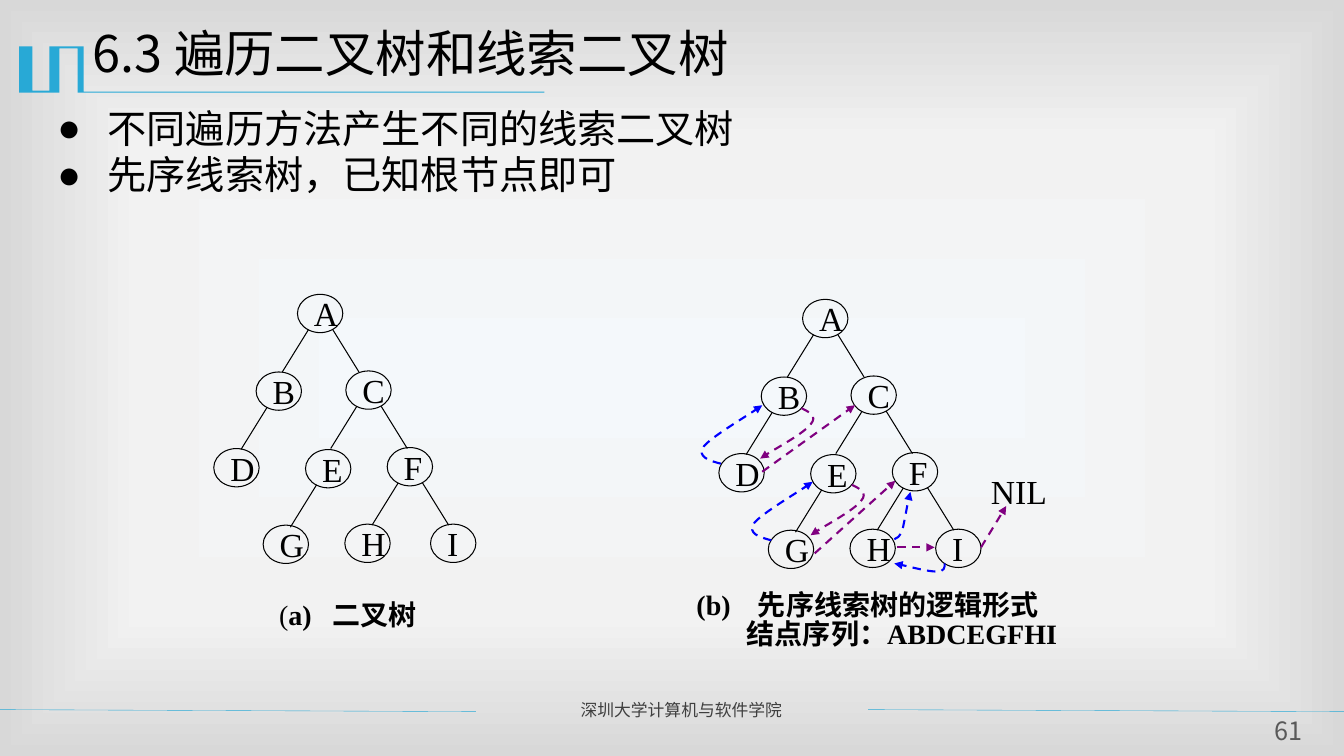
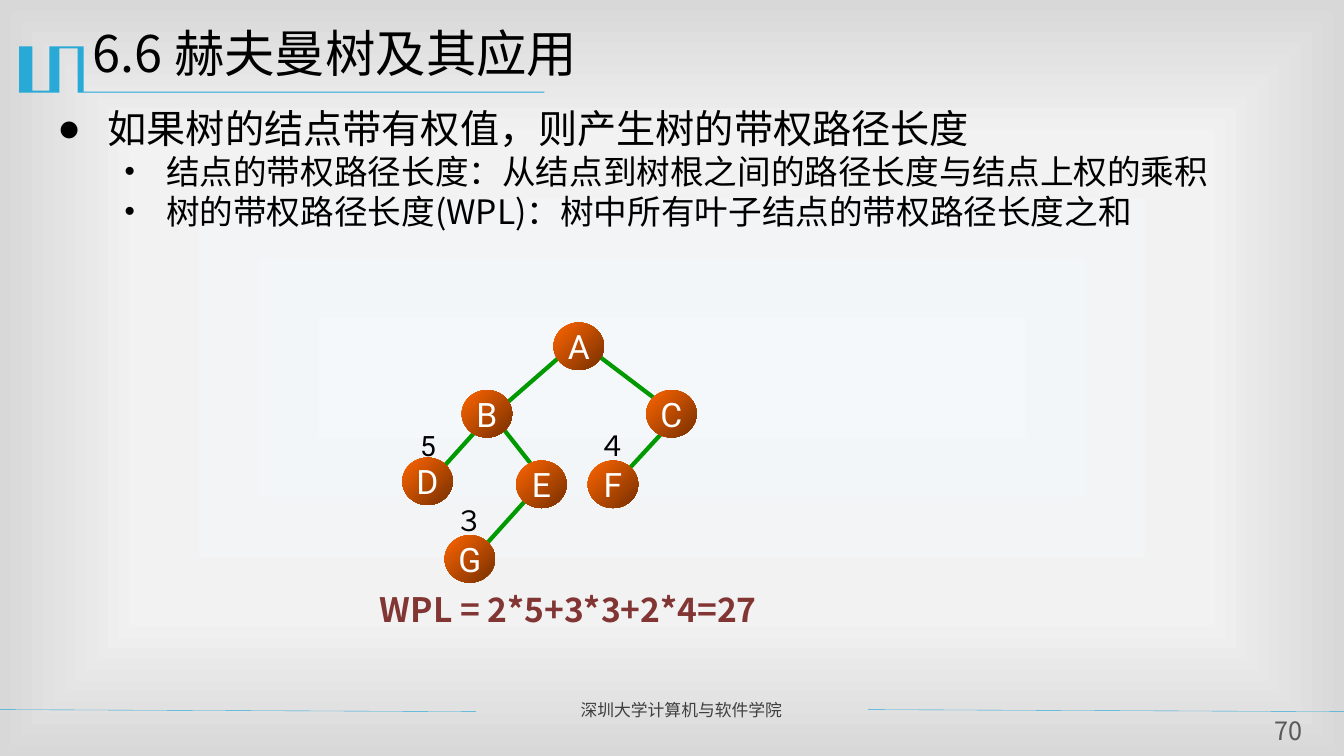
from lxml import etree
from pptx import Presentation
from pptx.dml.color import RGBColor
from pptx.enum.dml import MSO_LINE
from pptx.enum.shapes import MSO_CONNECTOR, MSO_SHAPE
from pptx.enum.text import MSO_ANCHOR, MSO_AUTO_SIZE, PP_ALIGN
from pptx.oxml.ns import qn
from pptx.util import Inches, Pt

DASH = MSO_LINE.DASH
STRAIGHT = MSO_CONNECTOR.STRAIGHT
OVAL = MSO_SHAPE.OVAL
TOP, MIDDLE = MSO_ANCHOR.TOP, MSO_ANCHOR.MIDDLE
NO_AUTOSIZE = MSO_AUTO_SIZE.NONE
LEFT, CENTER = PP_ALIGN.LEFT, PP_ALIGN.CENTER

BLACK = RGBColor(0x00, 0x00, 0x00)
WHITE = RGBColor(0xFF, 0xFF, 0xFF)
ACCENT = RGBColor(0x28, 0xA9, 0xD6)
FOOTER_GRAY = RGBColor(0x3F, 0x3F, 0x3F)
NUMBER_GRAY = RGBColor(0x59, 0x59, 0x59)
BLUE = RGBColor(0x00, 0x00, 0xFF)
PURPLE = RGBColor(0x80, 0x00, 0x80)
GREEN = RGBColor(0x00, 0x99, 0x00)
ORANGE = RGBColor(0xFF, 0x66, 0x00)
BROWN = RGBColor(0x76, 0x2F, 0x00)
DARK_RED = RGBColor(0x82, 0x36, 0x34)
BACKGROUND_STOPS = [
    (0, RGBColor(0xF4, 0xF8, 0xFB)),
    (63, RGBColor(0xF2, 0xF2, 0xF2)),
    (100, RGBColor(0xD8, 0xD8, 0xD8)),
]

SANS, ROBOTO, SERIF = "Noto Sans CJK SC", "Roboto", "Times New Roman"
FOOTER = "深圳大学计算机与软件学院"
BRACKET = [
    (0.82, 0.46), (0.83, 0.46), (0.83, 0.91), (5.4, 0.91), (5.4, 0.92),
    (0.77, 0.92), (0.77, 0.48), (0.59, 0.48), (0.59, 0.92), (0.19, 0.92),
    (0.19, 0.46), (0.32, 0.46), (0.32, 0.9), (0.49, 0.9), (0.49, 0.46),
]
BULLETS = {0: ("●", 28, 0.5, -0.5), 1: ("•", 24, 1.08, -0.42)}

BINARY_NODES = {
    "A": (2.95, 2.92), "B": (2.54, 3.69), "C": (3.43, 3.68),
    "D": (2.12, 4.45), "E": (3.03, 4.46), "F": (3.84, 4.44),
    "G": (2.61, 5.21), "H": (3.42, 5.2), "I": (4.27, 5.2),
}
LEFT_PARENTS, RIGHT_PARENTS = "ABCEF", "ACF"
WEIGHTED_NODES = {
    "A": (5.49, 3.2), "B": (4.58, 3.87), "C": (6.41, 3.87), "D": (3.99, 4.54),
    "E": (5.12, 4.57), "F": (5.83, 4.57), "G": (4.41, 5.31),
}
WEIGHTED_EDGES = [
    ((5.87, 3.48), (6.49, 3.95)), ((5.62, 3.48), (4.99, 4.03)),
    ((4.87, 4.11), (4.41, 4.62)), ((4.91, 4.15), (5.28, 4.62)),
    ((6.7, 4.15), (6.24, 4.65)), ((5.28, 4.89), (4.83, 5.39)),
]
BACK_THREAD = [(7.15, 4.6), (7.03, 4.57), (6.91, 4.53), (6.98, 4.43),
               (7.05, 4.34), (7.47, 4.09), (7.56, 4.02)]
NEXT_THREAD = [(7.95, 4.05), (8.03, 4.09), (8.11, 4.13), (8.04, 4.21),
               (7.97, 4.3), (7.62, 4.49), (7.54, 4.55)]
I_TO_H = [(9.37, 5.59), (9.37, 5.63), (9.37, 5.67), (9.29, 5.67),
          (9.2, 5.67), (8.94, 5.6), (8.87, 5.59)]
H_TO_F = [(8.87, 5.35), (8.9, 5.34), (8.92, 5.33), (8.95, 5.26),
          (8.97, 5.18), (9.01, 4.94), (9.03, 4.88)]
STRAIGHT_THREADS = [
    ((7.56, 4.68), (8.48, 4.02)), ((8.08, 5.49), (8.88, 4.77)),
    ((9.73, 5.43), (9.98, 5.02)), ((8.9, 5.43), (9.27, 5.43)),
]


def write(paragraph, text, size=24, font=SANS, color=BLACK, bold=False,
          align=LEFT, spacing=None, before=None, indent=None, bullet=None):
    paragraph.alignment = align
    if spacing:
        paragraph.line_spacing = spacing
    if before:
        paragraph.space_before = Pt(before)
    properties = paragraph._p.get_or_add_pPr()
    if indent:
        properties.set("marL", str(Inches(indent[0])))
        properties.set("indent", str(Inches(indent[1])))
    if bullet:
        etree.SubElement(properties, qn("a:buFont"), typeface=SERIF)
        etree.SubElement(properties, qn("a:buChar"), char=bullet)
    run = paragraph.add_run()
    run.text = text
    run.font.size = Pt(size)
    run.font.bold = bold
    run.font.color.rgb = color
    run.font.name = font
    etree.SubElement(run.font._element, qn("a:ea"), typeface=SANS)


def shifted(points, dx, dy):
    return [(x + dx, y + dy) for x, y in points]


class Deck:
    def __init__(self):
        self.presentation = Presentation()
        self.presentation.slide_width = Inches(13.33)
        self.presentation.slide_height = Inches(7.5)
        self.slide = None
        self.paint_background()

    def paint_background(self):
        master = self.presentation.slide_master
        master.background.fill.gradient()
        gradient = master.element.xpath(".//p:bgPr/a:gradFill")[0]
        for child in list(gradient):
            gradient.remove(child)
        stops = etree.SubElement(gradient, qn("a:gsLst"))
        for position, color in BACKGROUND_STOPS:
            stop = etree.SubElement(stops, qn("a:gs"), pos=str(position * 1000))
            etree.SubElement(stop, qn("a:srgbClr"), val=str(color))
        rectangle = etree.SubElement(gradient, qn("a:path"), path="rect")
        etree.SubElement(rectangle, qn("a:fillToRect"),
                         dict.fromkeys("ltrb", "50000"))

    def add_slide(self, title, number, items):
        layout = self.presentation.slide_layouts[5]
        self.slide = self.presentation.slides.add_slide(layout)
        bracket = self.freeform(BRACKET, close=True)
        bracket.fill.solid()
        bracket.fill.fore_color.rgb = ACCENT
        bracket.line.fill.background()
        for left, right in ((-0.01, 4.72), (8.61, 13.33)):
            self.line((left, 7.04), (right, 7.06), ACCENT, 0.25)
        self.text(5.66, 6.89, 2.85, 0.34, FOOTER, size=12, color=FOOTER_GRAY)
        self.text(12.48, 7.13, 0.59, 0.31, number, margins=(0, 0), size=18,
                  color=NUMBER_GRAY, align=CENTER, spacing=0.9)
        self.title(title)
        self.bullets(items)

    def title(self, text):
        shape = self.slide.shapes.title
        shape.left, shape.top = Inches(0.82), Inches(0.24)
        shape.width, shape.height = Inches(12), Inches(0.87)
        frame = shape.text_frame
        frame.auto_size = NO_AUTOSIZE
        frame.vertical_anchor = TOP
        write(frame.paragraphs[0], text, size=36, spacing=0.9)

    def box(self, left, top, width, height, anchor=TOP, margins=(0.1, 0.05)):
        shape = self.slide.shapes.add_textbox(
            Inches(left), Inches(top), Inches(width), Inches(height))
        self.set_frame(shape.text_frame, anchor, margins, True)
        return shape.text_frame

    def set_frame(self, frame, anchor, margins, wrap):
        frame.word_wrap = wrap
        frame.vertical_anchor = anchor
        frame.margin_left = frame.margin_right = Inches(margins[0])
        frame.margin_top = frame.margin_bottom = Inches(margins[1])

    def text(self, left, top, width, height, text, anchor=TOP,
             margins=(0.1, 0.05), **style):
        frame = self.box(left, top, width, height, anchor, margins)
        write(frame.paragraphs[0], text, **style)

    def bullets(self, items):
        frame = self.box(0.47, 1.04, 12.13, 2.25)
        for index, (level, text) in enumerate(items):
            paragraph = frame.add_paragraph() if index else frame.paragraphs[0]
            bullet, size, margin, hanging = BULLETS[level]
            write(paragraph, text, size=size, spacing=0.9, bullet=bullet,
                  before=size / 10 if index else None,
                  indent=(margin, hanging))

    def stroke(self, shape, color, width, arrow=False):
        shape.line.color.rgb = color
        shape.line.width = Pt(width)
        if arrow:
            shape.line.dash_style = DASH
            outline = shape.element.xpath(".//a:ln")[0]
            etree.SubElement(outline, qn("a:tailEnd"), type="triangle")

    def line(self, start, end, color, width, arrow=False):
        connector = self.slide.shapes.add_connector(
            STRAIGHT, *(Inches(value) for value in (*start, *end)))
        self.stroke(connector, color, width, arrow)
        properties = connector.element.xpath("./p:spPr")[0]
        etree.SubElement(properties, qn("a:effectLst"))

    def freeform(self, points, close=False):
        corners = [(Inches(x), Inches(y)) for x, y in points]
        builder = self.slide.shapes.build_freeform(*corners[0])
        builder.add_line_segments(corners[1:], close=close)
        shape = builder.convert_to_shape()
        shape.shadow.inherit = False
        return shape

    def thread(self, points, color):
        shape = self.freeform(points)
        shape.fill.background()
        self.stroke(shape, color, 1.5, arrow=True)
        outline = shape.element.xpath(".//a:path")[0]
        segments = outline.findall(qn("a:lnTo"))
        for first in range(0, len(segments), 3):
            curve = etree.SubElement(outline, qn("a:cubicBezTo"))
            for segment in segments[first:first + 3]:
                curve.append(segment[0])
                outline.remove(segment)

    def node(self, left, top, width, height, letter, margins=(0.1, 0.05), **style):
        shape = self.slide.shapes.add_shape(
            OVAL, Inches(left), Inches(top), Inches(width), Inches(height))
        shape.shadow.inherit = False
        self.set_frame(shape.text_frame, MIDDLE, margins, False)
        write(shape.text_frame.paragraphs[0], letter, **style)
        return shape

    def outlined_node(self, left, top, letter):
        shape = self.node(left, top, 0.45, 0.38, letter, font=SERIF)
        shape.fill.background()
        self.stroke(shape, BLACK, 0.75)

    def gradient_node(self, left, top, letter):
        shape = self.node(left, top, 0.5, 0.47, letter, margins=(0, 0.05),
                          font=ROBOTO, color=WHITE, align=CENTER)
        shape.fill.gradient()
        shape.fill.gradient_angle = 315
        for stop, color, position in zip(
                shape.fill.gradient_stops, (ORANGE, BROWN), (0, 1)):
            stop.color.rgb = color
            stop.position = position
        shape.line.fill.background()

    def binary_tree(self, dx, dy):
        for letter, (left, top) in BINARY_NODES.items():
            self.outlined_node(left + dx, top + dy, letter)
        for side, parents in ((-1, LEFT_PARENTS), (1, RIGHT_PARENTS)):
            for parent in parents:
                left, top = BINARY_NODES[parent]
                x, y = left + dx + 0.23 + side * 0.12, top + dy + 0.35
                self.line((x, y), (x + side * 0.26, y + 0.42), BLACK, 0.75)


def add_threaded_tree_slide(deck):
    deck.add_slide("6.3 遍历二叉树和线索二叉树", "61", [
        (0, "不同遍历方法产生不同的线索二叉树"),
        (0, "先序线索树，已知根节点即可"),
    ])
    caption = dict(size=20, font=SERIF, spacing=0.86)
    deck.binary_tree(0, 0)
    paragraph = deck.box(2.67, 5.92, 1.8, 0.39, MIDDLE).paragraphs[0]
    write(paragraph, "(", indent=(0.53, -0.53), **caption)
    write(paragraph, "a)\t二叉树", bold=True, **caption)

    deck.binary_tree(5.01, 0.05)
    for dx, dy in ((0, 0), (0.5, 0.76)):
        deck.thread(shifted(BACK_THREAD, dx, dy), BLUE)
        deck.thread(shifted(NEXT_THREAD, dx, dy), PURPLE)
    for points in (I_TO_H, H_TO_F):
        deck.thread(points, BLUE)
    for start, end in STRAIGHT_THREADS:
        deck.line(start, end, PURPLE, 1.5, arrow=True)
    deck.text(9.73, 4.68, 0.9, 0.39, "NIL", anchor=MIDDLE, font=SERIF)
    frame = deck.box(6.81, 5.85, 4, 0.63, MIDDLE)
    write(frame.paragraphs[0], "(b)\t先序线索树的逻辑形式", bold=True,
          indent=(0.61, -0.61), **caption)
    write(frame.add_paragraph(), "结点序列：ABDCEGFHI", bold=True,
          indent=(0.5, 0), **caption)


def add_weighted_tree_slide(deck):
    deck.add_slide("6.6 赫夫曼树及其应用", "70", [
        (0, "如果树的结点带有权值，则产生树的带权路径长度"),
        (1, "结点的带权路径长度：从结点到树根之间的路径长度与结点上权的乘积"),
        (1, "树的带权路径长度(WPL)：树中所有叶子结点的带权路径长度之和"),
    ])
    for start, end in WEIGHTED_EDGES:
        deck.line(start, end, GREEN, 3)
    for letter, (left, top) in WEIGHTED_NODES.items():
        deck.gradient_node(left, top, letter)
    for left, top, weight in ((4.08, 4.2, "5"), (4.49, 4.95, "３"), (5.91, 4.2, "４")):
        deck.text(left, top, 0.33, 0.44, weight, margins=(0, 0.05), size=20,
                  font=ROBOTO, align=CENTER)
    deck.text(3.67, 5.84, 4.14, 0.53, "WPL = 2*5+3*3+2*4=27", color=DARK_RED,
              bold=True, spacing=0.9)


def main():
    deck = Deck()
    add_threaded_tree_slide(deck)
    add_weighted_tree_slide(deck)
    deck.presentation.save("out.pptx")


if __name__ == "__main__":
    main()
